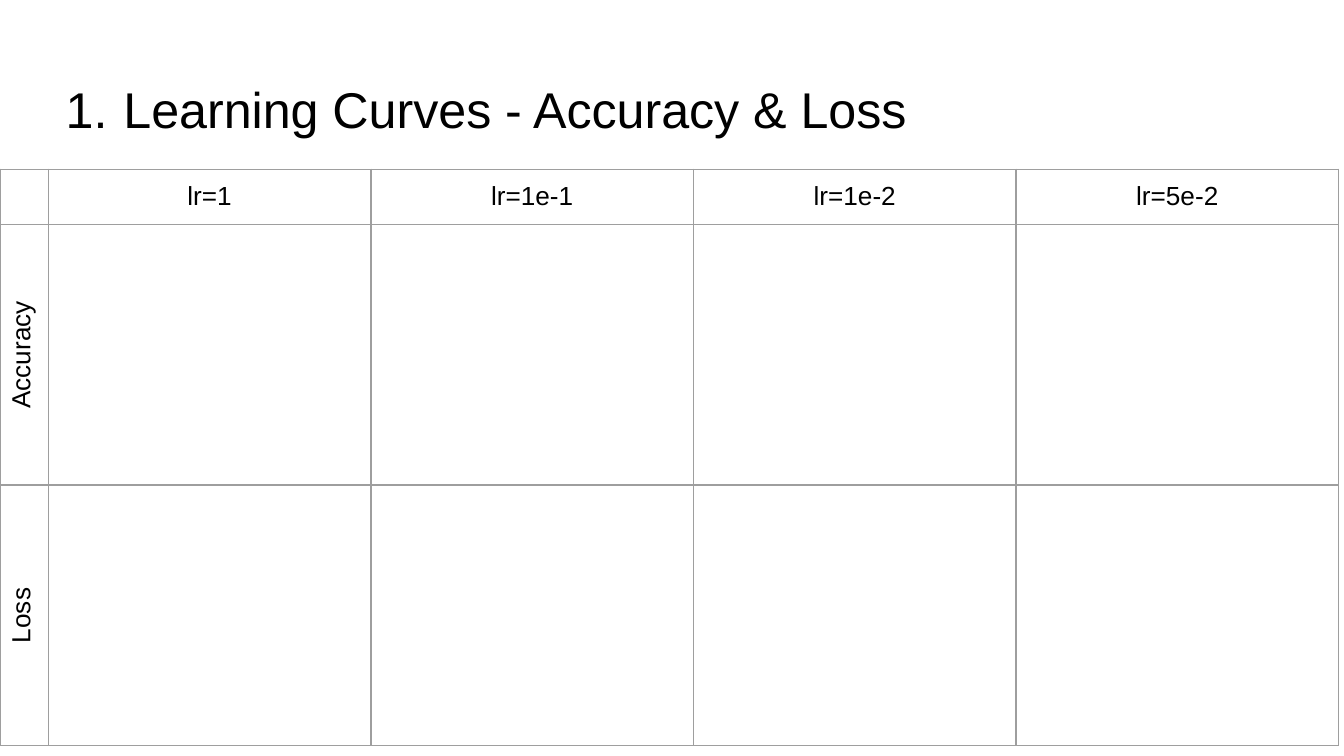
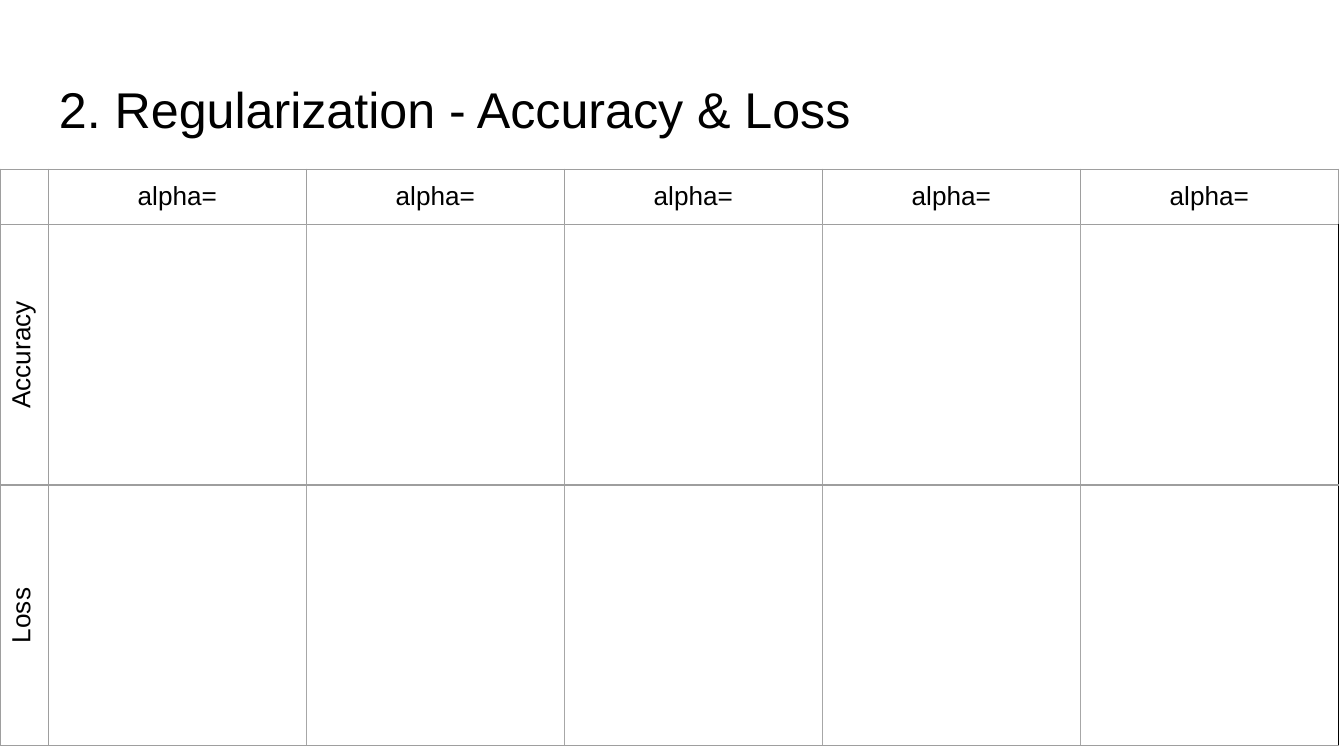
from dataclasses import dataclass
from pptx import Presentation
from pptx.dml.color import RGBColor
from pptx.enum.text import MSO_ANCHOR as Anchor, PP_ALIGN as Align
from pptx.oxml import parse_xml
from pptx.oxml.ns import nsdecls
from pptx.util import Pt

PX = 4572  # EMU per px, 200 px to the inch


@dataclass(frozen=True)
class Theme:
    font: str = "Arial"
    text: str = "000000"
    grid: str = "9E9E9E"
    inner_grid: str = "A7A7A7"
    title_size: float = 26.9
    label_size: float = 14


THEME = Theme()
GRID = (THEME.grid, 0.75)
INNER = (THEME.inner_grid, 1)
EDGE = (THEME.text, 1)

SLIDES = [
    {"title": "Learning Curves - Accuracy & Loss", "numbered": True, "inner": GRID, "edge": GRID,
     "columns": ["lr=1", "lr=1e-1", "lr=1e-2", "lr=5e-2"]},
    {"title": "2. Regularization - Accuracy & Loss", "numbered": False, "inner": INNER, "edge": EDGE,
     "columns": ["alpha="] * 5},
]
ROW_LABELS = ["Accuracy", "Loss"]
ROW_HEIGHTS = [82, 388, 388]
LABEL_WIDTH, PLOTS_WIDTH = 72, 1920
TABLE_TOP = 252


def write(para, text, size):
    span = para.add_run()
    span.text = text
    for name, value in {"name": THEME.font, "size": Pt(size), "bold": False}.items():
        setattr(span.font, name, value)
    span.font.color.rgb = RGBColor.from_string(THEME.text)


def set_borders(cell, borders):
    properties = cell._tc.get_or_add_tcPr()
    for position, side in enumerate("LRTB"):
        color, width = borders[side]
        properties.insert(position, parse_xml(
            f'<a:ln{side} {nsdecls("a")} w="{Pt(width)}"><a:solidFill>'
            f'<a:srgbClr val="{color}"/></a:solidFill></a:ln{side}>'))


deck = Presentation()
deck.slide_width, deck.slide_height = 2000 * PX, 1125 * PX

for content in SLIDES:
    page = deck.slides.add_slide(deck.slide_layouts[6])

    # Result grid
    headers = ["", *content["columns"]]
    last = len(headers) - 1
    frame = page.shapes.add_table(len(ROW_HEIGHTS), len(headers), 0, TABLE_TOP * PX,
                                  (LABEL_WIDTH + PLOTS_WIDTH) * PX, sum(ROW_HEIGHTS) * PX)
    table = frame.table
    table.first_row = table.horz_banding = False
    for index, column in enumerate(table.columns):
        column.width = (PLOTS_WIDTH // last if index else LABEL_WIDTH) * PX
    for row, height in zip(table.rows, ROW_HEIGHTS):
        row.height = height * PX

    labels = [headers] + [[label] + [""] * last for label in ROW_LABELS]
    for r, row_labels in enumerate(labels):
        for c, label in enumerate(row_labels):
            cell = table.cell(r, c)
            cell.fill.background()
            borders = dict.fromkeys("LRTB", GRID)
            if r and c:
                borders["L"] = content["inner"] if c > 1 else GRID
                borders["R"] = content["inner"] if c < last else content["edge"]
            set_borders(cell, borders)
            if label:
                cell.vertical_anchor = Anchor.MIDDLE
                para = cell.text_frame.paragraphs[0]
                para.alignment = Align.CENTER
                write(para, label, THEME.label_size)
            if label and c == 0:
                cell._tc.get_or_add_tcPr().set("vert", "vert270")

    # Title
    box = page.shapes.add_textbox(68 * PX, 97 * PX, 1864 * PX, 126 * PX).text_frame
    box.word_wrap = True
    for side in ("left", "right", "top", "bottom"):
        setattr(box, f"margin_{side}", 20 * PX)
    para = box.paragraphs[0]
    write(para, content["title"], THEME.title_size)
    if content["numbered"]:
        properties = para._p.get_or_add_pPr()
        properties.set("marL", str(96 * PX))
        properties.set("indent", str(-86 * PX))
        for bullet in (f'<a:buClr {nsdecls("a")}><a:srgbClr val="{THEME.text}"/></a:buClr>',
                       f'<a:buFont {nsdecls("a")} typeface="{THEME.font}"/>',
                       f'<a:buAutoNum {nsdecls("a")} type="arabicPeriod"/>'):
            properties.append(parse_xml(bullet))

deck.save("out.pptx")
